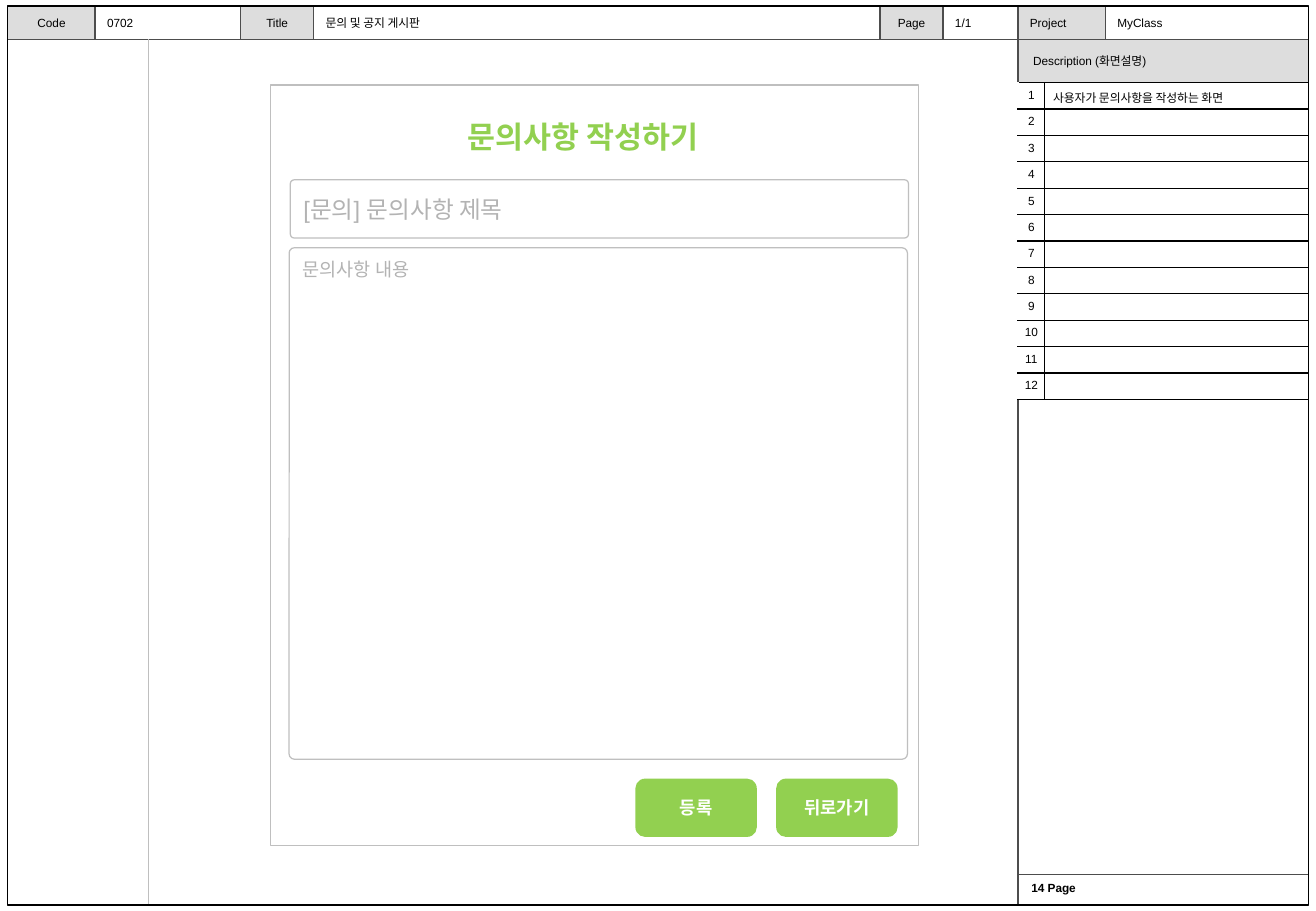
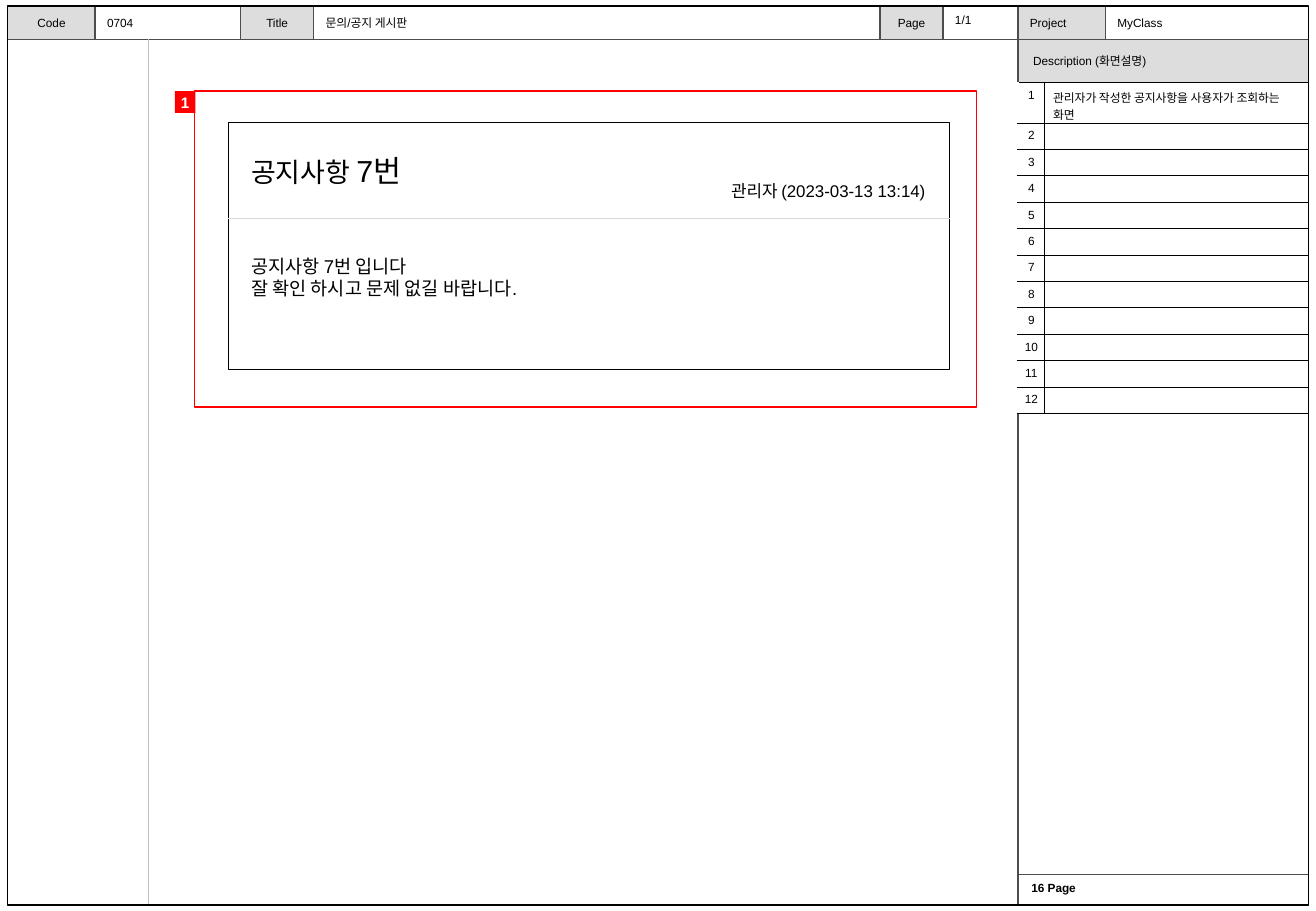
"""Build two wireframe slides of a notice board; lengths are percent shares of the slide."""
import dataclasses
import typing

import lxml.etree
import pptx
import pptx.dml.color
import pptx.enum.shapes
import pptx.enum.text
import pptx.oxml.ns
import pptx.slide
import pptx.text.text
import pptx.util

SHAPE = pptx.enum.shapes.MSO_SHAPE
ALIGN = pptx.enum.text.PP_ALIGN
ANCHOR = pptx.enum.text.MSO_ANCHOR
qn = pptx.oxml.ns.qn


@dataclasses.dataclass(frozen=True)
class Theme:
    width: int = pptx.util.Inches(10.83)
    height: int = pptx.util.Inches(7.5)
    font: str = "Arial"
    black: str = "000000"
    white: str = "FFFFFF"
    band: str = "DDDDDD"
    rule: str = "4D4D4D"
    border: str = "BFBFBF"
    divider: str = "D9D9D9"
    hint: str = "B3B3B3"
    green: str = "92D050"
    red: str = "FF0000"
    stroke: float = 0.75
    tiny: float = 7
    badge: float = 9
    small: float = 10
    button: float = 10.5
    body: float = 11
    field: float = 14
    subject: float = 16
    heading: float = 18


T = Theme()


class Run(typing.NamedTuple):
    text: str
    size: float = T.tiny


@dataclasses.dataclass(frozen=True)
class Box:
    x: float
    y: float
    w: float
    h: float
    paras: tuple[tuple[Run, ...], ...] = ()
    kind: typing.Any = None
    fill: str | None = None
    line: str | None = None
    color: str = T.black
    bold: bool = False
    align: typing.Any = ALIGN.LEFT
    anchor: typing.Any = ANCHOR.TOP
    inset: tuple[float, float] = (0.1, 0.05)
    radius: float | None = None


class Rule(typing.NamedTuple):
    x1: float
    y1: float
    x2: float
    y2: float
    color: str = T.rule


class Field(typing.NamedTuple):
    label: str
    left: float
    split: float
    right: float
    align: typing.Any = ALIGN.CENTER


class Page(typing.NamedTuple):
    values: tuple[str, ...]
    description: str
    footer: str
    items: tuple[Box | Rule, ...]
    page_shift: float = 0


LEFT, RIGHT, TOP, BOTTOM = 0.6, 99.42, 0.67, 99.33
HEAD, DESC, FOOT, SIDE, MARGIN = 4.3, 9.07, 96, 77.35, 11.26
ROWS, ROW_H, NUMBER_W = 12, 2.9, 2.03
FIELDS = (
    Field("Code", LEFT, 7.23, 18.28),
    Field("Title", 18.28, 23.84, 66.87),
    Field("Page", 66.87, 71.66, SIDE),
    Field("Project", SIDE, 84, RIGHT, ALIGN.LEFT),
)


def px(share: float) -> int:
    return round(T.width * share / 100)


def py(share: float) -> int:
    return round(T.height * share / 100)


def rgb(value: str) -> pptx.dml.color.RGBColor:
    return pptx.dml.color.RGBColor.from_string(value)


def apply(target: typing.Any, formats: dict[str, typing.Any]) -> None:
    for name, value in formats.items():
        setattr(target, name, value)


def one(text: str, size: float = T.tiny) -> tuple[tuple[Run, ...], ...]:
    return ((Run(text, size),),)


def write(p: typing.Any, runs: tuple[Run, ...], color: str = T.black, bold: bool = False) -> None:
    for run in runs:
        r = p.add_run()
        r.text = run.text
        apply(r.font, {"name": T.font, "size": pptx.util.Pt(run.size), "bold": bold})
        r.font.color.rgb = rgb(color)


def draw_box(s: pptx.slide.Slide, box: Box) -> None:
    place = px(box.x), py(box.y), px(box.w), py(box.h)
    if box.kind is None:
        sp = s.shapes.add_textbox(*place)
    else:
        sp = s.shapes.add_shape(box.kind, *place)
        sp.shadow.inherit = False
    if box.radius is not None:
        sp.adjustments[0] = box.radius
    for part, color in ((sp.fill, box.fill), (sp.line.fill, box.line)):
        if color:
            part.solid()
            part.fore_color.rgb = rgb(color)
        else:
            part.background()
    if box.line:
        sp.line.width = pptx.util.Pt(T.stroke)
    tf = sp.text_frame
    side, edge = map(pptx.util.Inches, box.inset)
    apply(tf, {"word_wrap": True, "vertical_anchor": box.anchor, "margin_left": side,
               "margin_right": side, "margin_top": edge, "margin_bottom": edge})
    for i, runs in enumerate(box.paras):
        p = tf.add_paragraph() if i else tf.paragraphs[0]
        p.alignment = box.align
        write(p, runs, box.color, box.bold)


def draw_rule(s: pptx.slide.Slide, rule: Rule) -> None:
    line = s.shapes.add_connector(pptx.enum.shapes.MSO_CONNECTOR.STRAIGHT,
                                  px(rule.x1), py(rule.y1), px(rule.x2), py(rule.y2))
    line.line.color.rgb = rgb(rule.color)
    line.line.width = pptx.util.Pt(T.stroke)
    lxml.etree.SubElement(line._element.spPr, qn("a:effectLst"))


def draw_item(s: pptx.slide.Slide, item: Box | Rule) -> None:
    if isinstance(item, Box):
        draw_box(s, item)
    else:
        draw_rule(s, item)


def add_borders(cell: typing.Any, sides: str) -> None:
    tc_pr = cell._tc.get_or_add_tcPr()
    for side in sides:
        ln = lxml.etree.SubElement(tc_pr, qn(f"a:ln{side}"), w=str(pptx.util.Pt(T.stroke)))
        fill = lxml.etree.SubElement(ln, qn("a:solidFill"))
        lxml.etree.SubElement(fill, qn("a:srgbClr"), val=T.black)


def draw_table(s: pptx.slide.Slide, description: str) -> None:
    table = s.shapes.add_table(ROWS, 2, px(SIDE), py(DESC), px(RIGHT - SIDE), py(ROWS * ROW_H)).table
    apply(table, {"first_row": False, "horz_banding": False})
    for column, width in zip(table.columns, (NUMBER_W, RIGHT - SIDE - NUMBER_W)):
        column.width = px(width)
    for i, row in enumerate(table.rows):
        row.height = py(ROW_H)
        texts = str(i + 1), "" if i else description
        layouts = (0.04, ALIGN.CENTER, "RTB"), (0.07, ALIGN.LEFT, "LRTB")
        for cell, text, (margin, align, sides) in zip(row.cells, texts, layouts):
            add_borders(cell, sides)
            cell.fill.background()
            side = pptx.util.Inches(margin)
            apply(cell, {"margin_left": side, "margin_right": side})
            p = cell.text_frame.paragraphs[0]
            p.alignment = align
            if text:
                write(p, (Run(text),))
            else:
                lxml.etree.SubElement(p._p, qn("a:endParaRPr"), sz=str(T.tiny * 100))
        if i == 0:
            p.space_before = pptx.util.Pt(T.tiny * 0.2)


def draw_frame(s: pptx.slide.Slide, page: Page) -> None:
    draw_box(s, Box(SIDE, HEAD, RIGHT - SIDE, DESC - HEAD, one(" Description (화면설명)"),
                    SHAPE.RECTANGLE, T.band, anchor=ANCHOR.MIDDLE))
    for field, value in zip(FIELDS, page.values):
        shift = page.page_shift if field.label == "Page" else 0
        draw_box(s, Box(field.left, TOP, field.split - field.left, HEAD - TOP, one(field.label),
                        SHAPE.RECTANGLE, T.band, align=field.align, anchor=ANCHOR.MIDDLE))
        draw_box(s, Box(field.split, 1.07 + shift, field.right - field.split, 2.93, one(value),
                        anchor=ANCHOR.MIDDLE))
        draw_rule(s, Rule(field.split, TOP, field.split, HEAD))
        if field.left > LEFT:
            draw_rule(s, Rule(field.left, TOP, field.left, HEAD))
    for rule in (Rule(SIDE, HEAD, SIDE, BOTTOM), Rule(LEFT, HEAD, RIGHT, HEAD),
                 Rule(SIDE, FOOT, RIGHT, FOOT), Rule(SIDE, DESC, RIGHT, DESC),
                 Rule(MARGIN, HEAD, MARGIN, BOTTOM, T.border)):
        draw_rule(s, rule)
    draw_box(s, Box(77.63, 96.13, 21.4, 2.67, one(page.footer), bold=True, inset=(0.08, 0.04)))
    draw_box(s, Box(LEFT, TOP, RIGHT - LEFT, BOTTOM - TOP, kind=SHAPE.RECTANGLE, line=T.black))
    draw_table(s, page.description)


BUTTONS = tuple(
    Box(48.28 + i * 10.7, 85.47, 9.23, 6.4, one(text, T.button), SHAPE.ROUNDED_RECTANGLE,
        T.green, color=T.white, bold=True, align=ALIGN.CENTER, anchor=ANCHOR.MIDDLE)
    for i, text in enumerate(("등록", "뒤로가기"))
)
PAGES = (
    Page(
        ("0702", "문의 및 공지 게시판", "1/1", "MyClass"),
        "사용자가 문의사항을 작성하는 화면", "14 Page",
        (
            Box(20.58, 9.33, 49.2, 83.47, kind=SHAPE.RECTANGLE, line=T.border),
            Box(34.62, 12.27, 21.14, 5.33, one("문의사항 작성하기", T.heading),
                color=T.green, bold=True),
            Box(22.06, 19.73, 46.98, 6.4, one("[문의] 문의사항 제목", T.field),
                SHAPE.ROUNDED_RECTANGLE, line=T.border, color=T.hint,
                anchor=ANCHOR.MIDDLE, radius=0.07),
            Box(21.97, 27.2, 46.98, 56.13, one("문의사항 내용", T.body),
                SHAPE.ROUNDED_RECTANGLE, line=T.border, color=T.hint,
                inset=(0.1, 0.07), radius=0.01),
            *BUTTONS,
        ),
    ),
    Page(
        ("0704", "문의/공지 게시판", "1/1", "MyClass"),
        "관리자가 작성한 공지사항을 사용자가 조회하는 화면", "16 Page",
        (
            Box(14.77, 10, 59.45, 34.67, kind=SHAPE.RECTANGLE, fill=T.white, line=T.red),
            Box(17.35, 13.47, 54.83, 27.07, kind=SHAPE.RECTANGLE, fill=T.white, line=T.black),
            Box(18.18, 16, 24.74, 5.33, ((Run("공지사항 ", T.subject), Run("7번", T.heading)),)),
            Box(54.65, 19.2, 17.54, 3.6, one("관리자 (2023-03-13 13:14)", T.small)),
            Rule(17.35, 24, 72.18, 24, T.divider),
            Box(18.18, 27.33, 43.66, 6.27,
                one("공지사항 7번 입니다", T.body) + one("잘 확인 하시고 문제 없길 바랍니다.", T.body)),
            Box(13.29, 10, 1.57, 2.4, one("1", T.badge), SHAPE.RECTANGLE, T.red, color=T.white,
                bold=True, align=ALIGN.CENTER, anchor=ANCHOR.MIDDLE, inset=(0, 0)),
        ),
        page_shift=-0.4,
    ),
)


def main() -> None:
    prs = pptx.Presentation()
    apply(prs, {"slide_width": T.width, "slide_height": T.height})
    for page in PAGES:
        s = prs.slides.add_slide(prs.slide_layouts[6])
        draw_frame(s, page)
        for item in page.items:
            draw_item(s, item)
    prs.save("out.pptx")


if __name__ == "__main__":
    main()
